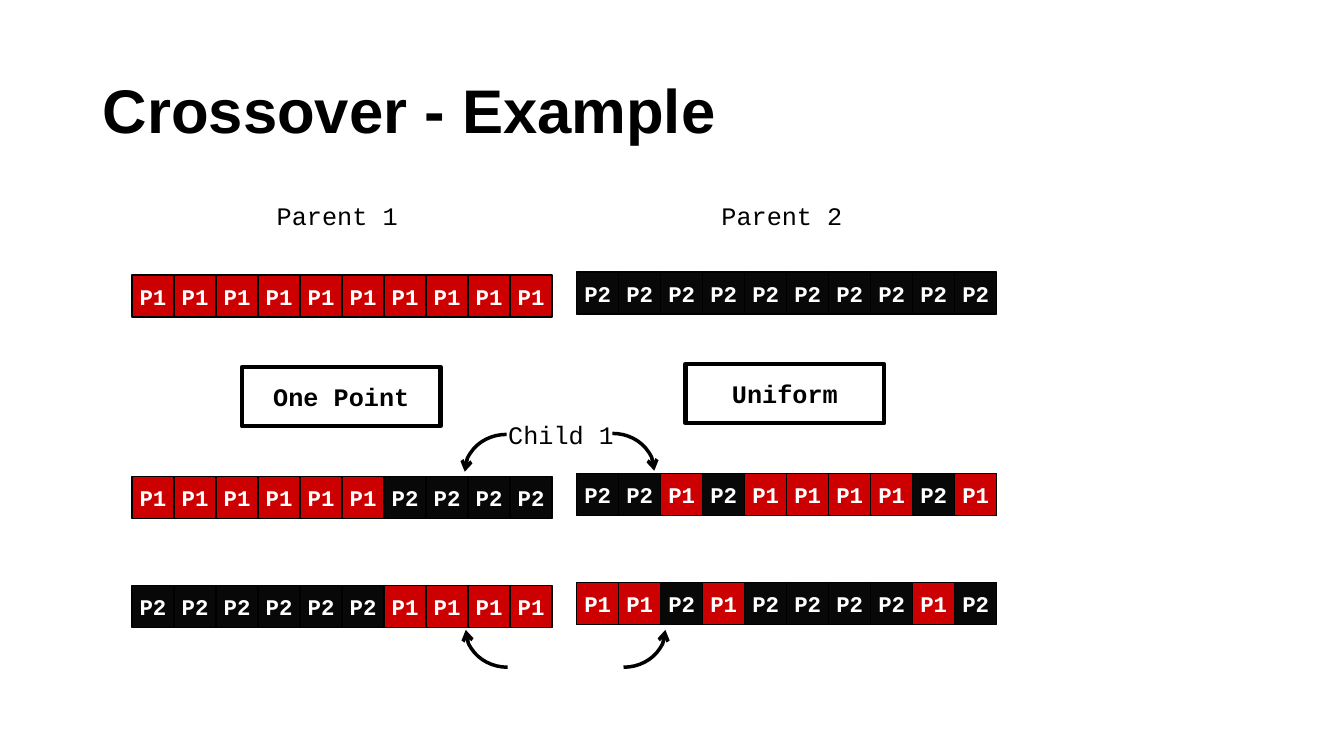
from lxml import etree
from pptx import Presentation
from pptx.dml.color import RGBColor
from pptx.enum.shapes import MSO_SHAPE as Shape
from pptx.enum.text import MSO_ANCHOR as Anchor, MSO_AUTO_SIZE as Fit, PP_ALIGN as Align
from pptx.oxml.ns import qn
from pptx.util import Inches, Pt

# Content
TITLE = "Crossover - Example"
COLORS = {"P1": "CC0000", "P2": "080808", "ink": "000000", "paper": "FFFFFF"}
MONO = "Courier New"

# Each side: left edge, vertical shift, genes of parent, child 1, child 2
SIDES = [
    (1.31, 0, ["1111111111", "1111112222", "2222221111"]),
    (5.72, -0.03, ["2222222222", "2212111121", "1121222212"]),
]
ROWS = [2.73, 4.73, 5.81]
CELL = 5 / 12

METHODS = [("One Point", 2.4, 3.64), ("Uniform", 6.8, 3.61)]
LABELS = [
    ("Parent 1", 2.36, 1.94, Anchor.TOP),
    ("Parent 2", 6.77, 1.94, Anchor.TOP),
    ("Child 1", 4.58, 4.06, Anchor.MIDDLE),
]
# Left, top, flips
ARCS = [
    (5.66, 4.3, []),
    (5.77, 5.88, ["flipV"]),
    (4.61, 4.31, ["flipH"]),
    (4.62, 5.88, ["flipH", "flipV"]),
]


def rgb(name):
    return RGBColor.from_string(COLORS[name])


def write(shape, text, size, color="ink", bold=False, font=MONO,
          anchor=Anchor.MIDDLE, align=Align.CENTER, wrap=False):
    frame = shape.text_frame
    frame.word_wrap = wrap
    frame.auto_size = Fit.NONE
    frame.vertical_anchor = anchor
    para = frame.paragraphs[0]
    para.alignment = align
    run = para.add_run()
    run.text = text
    run.font.name = font
    run.font.size = Pt(size)
    run.font.bold = bold
    run.font.color.rgb = rgb(color)
    return para


def draw(slide, kind, box, width, fill=None):
    shape = slide.shapes.add_shape(kind, *map(Inches, box))
    shape.shadow.inherit = False
    if fill:
        shape.fill.solid()
        shape.fill.fore_color.rgb = rgb(fill)
    else:
        shape.fill.background()
    shape.line.color.rgb = rgb("ink")
    shape.line.width = Pt(width)
    return shape


def main():
    deck = Presentation()
    deck.slide_width, deck.slide_height = Inches(13.33), Inches(7.5)
    slide = deck.slides.add_slide(deck.slide_layouts[5])

    # Title
    title = slide.shapes.title
    title.left, title.top = Inches(0.92), Inches(0.4)
    title.width, title.height = Inches(11.5), Inches(1.45)
    para = write(title, TITLE, 44, bold=True, font="Arial",
                 align=Align.LEFT, wrap=True)
    para.line_spacing = 0.9

    # Method boxes
    for text, left, top in METHODS:
        box = draw(slide, Shape.RECTANGLE, (left, top, 1.97, 0.59), 3)
        write(box, text, 18, bold=True)

    # Gene strips
    for left, shift, strips in SIDES:
        for top, genes in zip(ROWS, strips):
            for col, gene in enumerate(genes):
                name = "P" + gene
                place = (left + col * CELL, top + shift, CELL, CELL)
                cell = draw(slide, Shape.RECTANGLE, place, 1, name)
                write(cell, name, 16, "paper", bold=True)

    # Labels
    for text, left, top, anchor in LABELS:
        box = slide.shapes.add_textbox(*map(Inches, (left, top, 1.97, 0.5)))
        write(box, text, 18, anchor=anchor)

    # Curved arrows
    for left, top, flips in ARCS:
        arc = draw(slide, Shape.ARC, (left, top, 0.83, 0.74), 2.5, "paper")
        frame = arc.element.spPr.find(qn("a:xfrm"))
        for flip in flips:
            frame.set(flip, "1")
        line = arc.element.spPr.find(qn("a:ln"))
        etree.SubElement(line, qn("a:tailEnd")).set("type", "arrow")

    deck.save("out.pptx")


if __name__ == "__main__":
    main()
